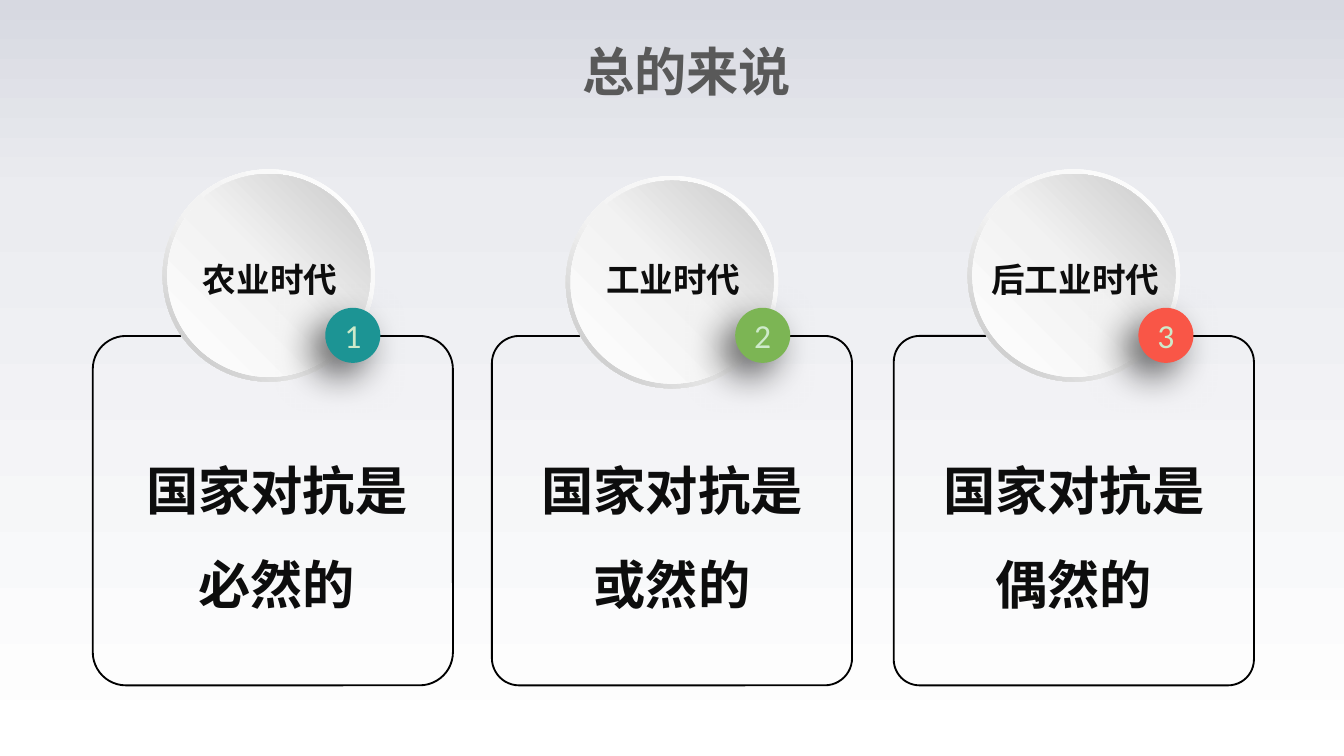
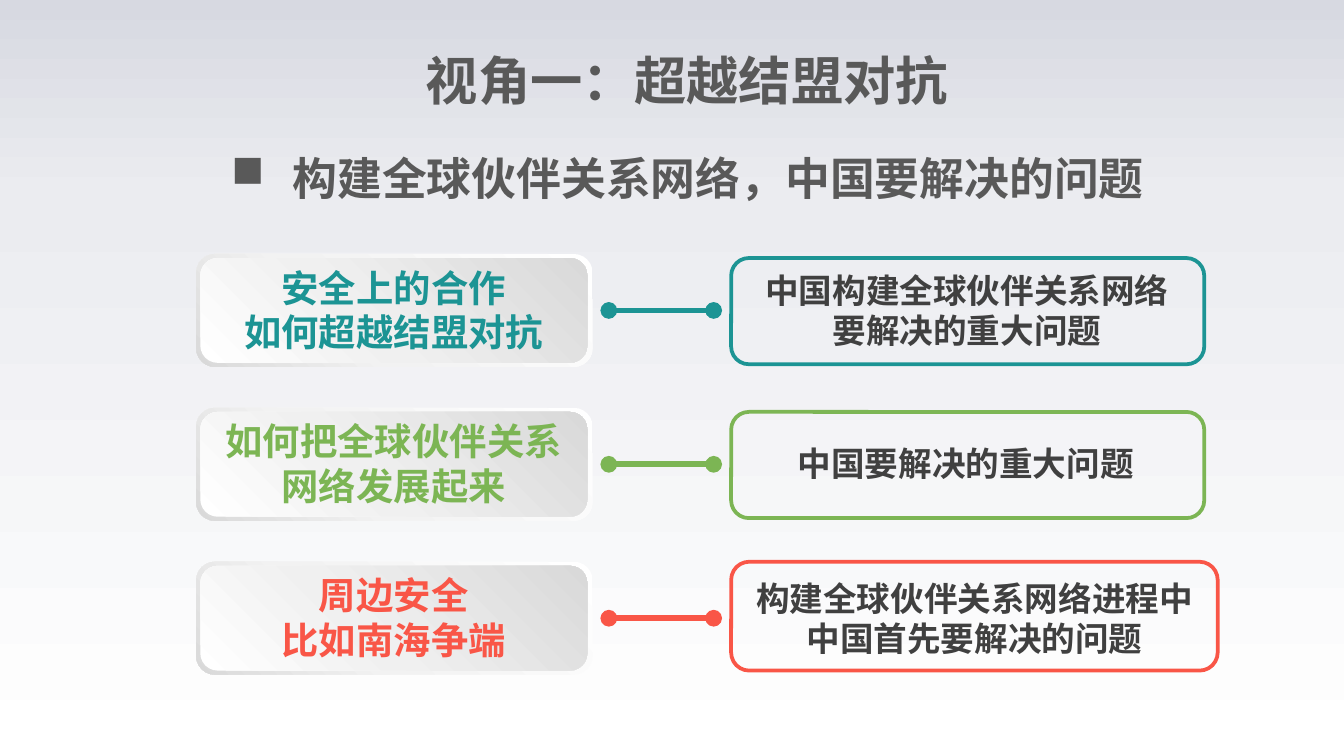
import pptx
import pptx.util
import pptx.dml.color
import pptx.enum.dml
import pptx.enum.shapes
import pptx.enum.text
import pptx.oxml.ns
import lxml.etree

RGB = pptx.dml.color.RGBColor
SHAPE = pptx.enum.shapes.MSO_SHAPE
ALIGN = pptx.enum.text.PP_ALIGN
qn = pptx.oxml.ns.qn

BLACK = RGB(0x00, 0x00, 0x00)
INK = RGB(0x0D, 0x0D, 0x0D)
CHARCOAL = RGB(0x40, 0x40, 0x40)
GREY = RGB(0x59, 0x59, 0x59)
PALE_GREEN = RGB(0xCE, 0xEA, 0xCA)
WHITE = RGB(0xFF, 0xFF, 0xFF)
MIST = RGB(0xF2, 0xF2, 0xF2)
SILVER = RGB(0xD9, 0xD9, 0xD9)
STEEL = RGB(0xBF, 0xBF, 0xBF)
TEAL = RGB(0x1C, 0x94, 0x94)
GREEN = RGB(0x7C, 0xB5, 0x54)
RED = RGB(0xF9, 0x56, 0x47)

# Gradients: angle (counter-clockwise), then (percent, colour) stops
BACKDROP = 270, [(0, RGB(0xD7, 0xD9, 0xE1)), (26, RGB(0xEB, 0xEC, 0xF0)), (100, WHITE)]
RIM = 225, [(0, WHITE), (55, MIST), (100, STEEL)]
DISC = 45, [(0, WHITE), (51, MIST), (100, RGB(0xC8, 0xC8, 0xC8))]
PLATE_RIM = 225, [(0, WHITE), (62, MIST), (100, SILVER)]
PLATE = 45, [(0, WHITE), (42, RGB(0xF0, 0xF0, 0xF0)), (100, SILVER)]

CJK = "Noto Sans CJK SC"
TITLE = dict(size=28, color=GREY)
SUBTITLE = dict(size=24, color=GREY)
LABEL = dict(size=18, color=INK)
BODY = dict(size=28, color=INK)
NOTE = dict(size=18, color=CHARCOAL)
BADGE = dict(size=18, color=PALE_GREEN, name="Calibri", bold=False)

COLUMNS = 100  # the grid has square cells


class Deck:
    """Holds the grid, the style and the slide being drawn."""

    def __init__(self):
        self.file = pptx.Presentation()
        self.file.slide_width = pptx.util.Inches(10)
        self.file.slide_height = self.file.slide_width * 9 // 16
        self.cell = self.file.slide_width / COLUMNS

    def grid(self, *cells):
        return [round(self.cell * value) for value in cells]

    def new_page(self, title, row):
        self.page = self.file.slides.add_slide(self.file.slide_layouts[6])
        self.shapes = self.page.shapes
        self.gradient(self.page.background.fill, self.page.element, BACKDROP)
        self.text((18.7, row, 64.8, 4.7), [title], TITLE, inset=False)

    def group(self):
        self.shapes = self.page.shapes.add_group_shape().shapes

    def ungroup(self):
        self.shapes = self.page.shapes

    def gradient(self, fill, element, gradient):
        angle, stops = gradient
        fill.gradient()
        fill.gradient_angle = angle
        stop_list = next(element.iter(qn("a:gsLst")))
        for stop in list(stop_list):
            stop_list.remove(stop)
        for percent, color in stops:
            stop = lxml.etree.SubElement(stop_list, qn("a:gs"), pos=str(percent * 1000))
            lxml.etree.SubElement(stop, qn("a:srgbClr"), val=str(color))

    def shape(self, kind, area, fill=None, line=None, width=1, corner=None):
        box = self.shapes.add_shape(kind, *self.grid(*area))
        box.shadow.inherit = False
        if corner is not None:
            box.adjustments[0] = corner
        if fill is None:
            box.fill.background()
        elif isinstance(fill, RGB):
            box.fill.solid()
            box.fill.fore_color.rgb = fill
        else:
            self.gradient(box.fill, box.element, fill)
        if line is None:
            box.line.fill.background()
        else:
            box.line.color.rgb = line
            box.line.width = pptx.util.Pt(width)
        return box

    def set_lines(self, frame, lines, style, spacing=None):
        values = dict(name=CJK, bold=True) | style
        color = values.pop("color")
        values["size"] = pptx.util.Pt(values["size"])
        for index, line in enumerate(lines):
            para = frame.add_paragraph() if index else frame.paragraphs[0]
            para.alignment = ALIGN.CENTER
            para.line_spacing = spacing
            span = para.add_run()
            span.text = line
            for key, value in values.items():
                setattr(span.font, key, value)
            span.font.color.rgb = color
            lxml.etree.SubElement(span.font._element, qn("a:ea"), typeface=values["name"])

    def text(self, area, lines, style, spacing=None, inset=True, wrap=True):
        box = self.shapes.add_textbox(*self.grid(*area))
        frame = box.text_frame
        frame.word_wrap = wrap
        frame.auto_size = pptx.enum.text.MSO_AUTO_SIZE.SHAPE_TO_FIT_TEXT
        if not inset:
            self.clear_margins(frame)
        self.set_lines(frame, lines, style, spacing)
        return box

    def clear_margins(self, frame):
        for side in ("left", "top", "right", "bottom"):
            setattr(frame, f"margin_{side}", 0)

    def bullet(self, para, symbol, indent):
        size, = self.grid(indent)
        properties = para._p.get_or_add_pPr()
        properties.set("marL", str(size))
        properties.set("indent", str(-size))
        lxml.etree.SubElement(properties, qn("a:buChar"), char=symbol)

    def badge(self, area, number, color):
        box = self.shape(SHAPE.OVAL, area, fill=color)
        effects = box.element.spPr.find(qn("a:effectLst"))
        shadow = lxml.etree.SubElement(
            effects, qn("a:outerShdw"), blurRad=str(pptx.util.Pt(20)),
            dist=str(pptx.util.Pt(10)), dir=str(135 * 60000), algn="tr", rotWithShape="0")
        tint = lxml.etree.SubElement(shadow, qn("a:srgbClr"), val=str(BLACK))
        lxml.etree.SubElement(tint, qn("a:alpha"), val="60000")
        self.clear_margins(box.text_frame)
        box.text_frame.vertical_anchor = pptx.enum.text.MSO_ANCHOR.MIDDLE
        self.set_lines(box.text_frame, [number], BADGE)

    def link(self, start, end, row, color):
        line = self.shapes.add_connector(
            pptx.enum.shapes.MSO_CONNECTOR.STRAIGHT, *self.grid(start, row, end, row))
        line.line.color.rgb = color
        line.line.width = pptx.util.Pt(3)
        stroke = line.line._get_or_add_ln()
        for tip in ("a:headEnd", "a:tailEnd"):
            lxml.etree.SubElement(stroke, qn(tip), type="oval")
        lxml.etree.SubElement(line.element.spPr, qn("a:effectLst"))


def draw_eras(deck):
    deck.new_page("总的来说", 2.9)
    # card left, corner, disc left and top, badge left, body left, label, verdict, colour
    eras = [
        (6.9, 0.095, 12.1, 12.6, 24.2, 8.5, "农业时代", "必然的", TEAL),
        (36.6, 0.078, 42.1, 13.1, 54.7, 37.9, "工业时代", "或然的", GREEN),
        (66.5, 0.074, 72, 12.6, 84.7, 67.8, "后工业时代", "偶然的", RED),
    ]
    for number, era in enumerate(eras, 1):
        card, corner, left, top, badge, body, label, verdict, color = era
        deck.shape(SHAPE.ROUNDED_RECTANGLE, (card, 25, 26.8, 26), line=BLACK, corner=corner)
        # Disc with a bevelled rim
        deck.group()
        deck.shape(SHAPE.DONUT, (left, top, 15.8, 15.8), fill=RIM, corner=0.049)
        deck.shape(SHAPE.OVAL, (left + 0.35, top + 0.35, 15.1, 15.1), fill=DISC)
        deck.ungroup()
        deck.badge((badge, 22.9, 4.1, 4.1), str(number), color)
        # Era name and verdict
        width = 2 + 2.5 * len(label)
        deck.text((left + 8 - width / 2, 18.8, width, 4), [label], LABEL, wrap=False)
        deck.text((body, 31.3, 24.2, 14.3), ["国家对抗是", verdict], BODY, spacing=1.5)


def draw_questions(deck):
    deck.new_page("视角一：超越结盟对抗", 3.6)
    heading = deck.text((16.6, 11.2, 69.1, 4), [" 构建全球伙伴关系网络，中国要解决的问题"],
                        SUBTITLE, inset=False)
    deck.bullet(heading.text_frame.paragraphs[0], "■", 3.8)

    # question, answer, answer area, outline drop and size, colour
    questions = [
        (["安全上的合作", "如何超越结盟对抗"],
         ["中国构建全球伙伴关系网络", "要解决的重大问题"],
         (55.1, 0.7, 33.7, 7.1), (0.3, 35.2, 7.9), TEAL),
        (["如何把全球伙伴关系", "网络发展起来"], ["中国要解决的重大问题"],
         (58.3, 2.1, 27.1, 4), (0.3, 35.2, 7.9), GREEN),
        (["周边安全", "比如南海争端"],
         ["构建全球伙伴关系网络进程中", "中国首先要解决的问题"],
         (54.9, 0.7, 35.2, 7.1), (0, 36.2, 8.1), RED),
    ]
    for index, (question, answer, place, outline, color) in enumerate(questions):
        row = 18.9 + 11.45 * index
        deck.group()
        # Raised plate with the question
        deck.shape(SHAPE.ROUNDED_RECTANGLE, (14.6, row, 29.5, 8.4), fill=PLATE_RIM)
        deck.shape(SHAPE.ROUNDED_RECTANGLE, (14.9, row + 0.3, 28.8, 7.8), fill=PLATE)
        deck.text((16.3, row + 0.8, 26, 6.7), question, dict(size=20, color=color), inset=False)
        # Link to the outlined answer
        deck.link(45.3, 53.1, row + 4.2, color)
        left, drop, width, height = place
        deck.text((left, row + drop, width, height), answer, NOTE)
        drop, width, height = outline
        deck.shape(SHAPE.ROUNDED_RECTANGLE, (54.4, row + drop, width, height),
                   line=color, width=2)
        deck.ungroup()


def main():
    deck = Deck()
    draw_eras(deck)
    draw_questions(deck)
    deck.file.save("out.pptx")


if __name__ == "__main__":
    main()
